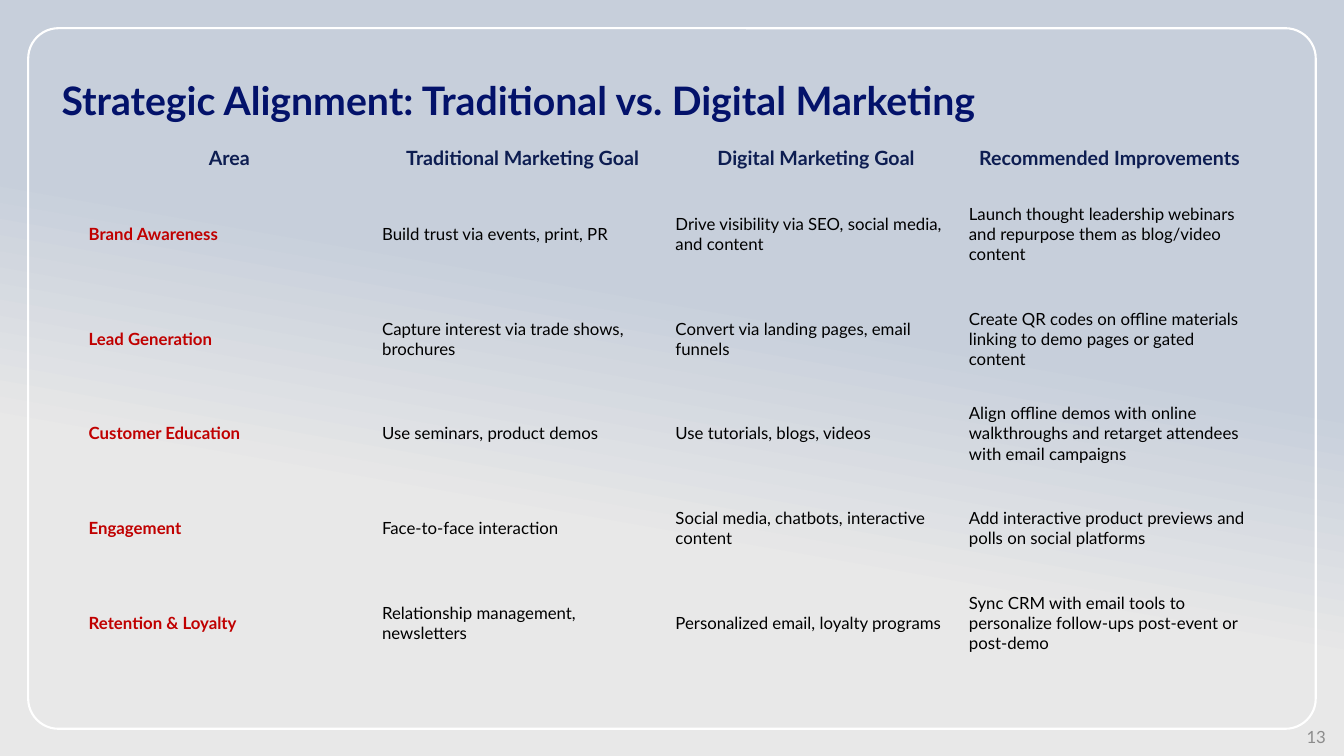
import pptx
import pptx.util
import pptx.dml.color
import pptx.enum.shapes
import pptx.enum.text

COLORS = {
    "mist": "E8E8E8", "steel": "C7CFDB", "frame": "FFFFFF", "title": "03126A",
    "header": "0D1D51", "area": "C00000", "body": "000000", "number": "8C8C8C",
}
FONT = "Lato"
PX = 9144  # EMU per px, 100 px to the inch
NO_GRID = "{2D5ABB26-0587-4C30-8999-92F81FD0307C}"

LEFT = pptx.enum.text.PP_ALIGN.LEFT
CENTER = pptx.enum.text.PP_ALIGN.CENTER
RIGHT = pptx.enum.text.PP_ALIGN.RIGHT
MIDDLE = pptx.enum.text.MSO_ANCHOR.MIDDLE
BOTTOM = pptx.enum.text.MSO_ANCHOR.BOTTOM

TITLE = "Strategic Alignment: Traditional vs. Digital Marketing"
ROW_HEIGHTS = [47, 104, 104, 84, 104, 84]
ROWS = [
    ["Area", "Traditional Marketing Goal", "Digital Marketing Goal",
     "Recommended Improvements"],
    ["Brand Awareness", "Build trust via events, print, PR",
     "Drive visibility via SEO, social media, and content",
     "Launch thought leadership webinars and repurpose them as blog/video content"],
    ["Lead Generation", "Capture interest via trade shows, brochures",
     "Convert via landing pages, email funnels",
     "Create QR codes on offline materials linking to demo pages or gated content"],
    ["Customer Education", "Use seminars, product demos",
     "Use tutorials, blogs, videos",
     "Align offline demos with online walkthroughs and retarget attendees "
     "with email campaigns"],
    ["Engagement", "Face-to-face interaction",
     "Social media, chatbots, interactive content",
     "Add interactive product previews and polls on social platforms"],
    ["Retention & Loyalty", "Relationship management, newsletters",
     "Personalized email, loyalty programs",
     "Sync CRM with email tools to personalize follow-ups post-event or post-demo"],
]


def rgb(name):
    return pptx.dml.color.RGBColor.from_string(COLORS[name])


def set_all(obj, values):
    for name, value in values.items():
        setattr(obj, name, value)


class Deck:
    def __init__(self, width, height):
        self.prs = pptx.Presentation()
        set_all(self.prs, {"slide_width": width * PX, "slide_height": height * PX})
        self.s = self.prs.slides.add_slide(self.prs.slide_layouts[5])

    def background(self, stops, angle):
        fill = self.s.background.fill
        fill.gradient()
        fill.gradient_angle = angle
        for stop, (position, color) in zip(fill.gradient_stops, stops):
            stop.position = position
            stop.color.rgb = rgb(color)

    def add_text(self, tf, text, size, color, bold=False, align=LEFT):
        p = tf.paragraphs[0]
        p.alignment = align
        r = p.add_run()
        r.text = text
        set_all(r.font, {"name": FONT, "size": pptx.util.Pt(size), "bold": bold})
        r.font.color.rgb = rgb(color)
        return p

    def frame(self, x, y, w, h, radius):
        sp = self.s.shapes.add_shape(
            pptx.enum.shapes.MSO_SHAPE.ROUNDED_RECTANGLE, x * PX, y * PX, w * PX, h * PX)
        sp.adjustments[0] = radius / min(w, h)
        sp.shadow.inherit = False
        sp.fill.background()
        sp.line.color.rgb = rgb("frame")
        sp.line.width = pptx.util.Pt(1.5)

    def title(self, text, x, y, w, h):
        sp = self.s.shapes.title
        set_all(sp, {"left": x * PX, "top": y * PX, "width": w * PX, "height": h * PX})
        set_all(sp.text_frame, {
            "word_wrap": True, "auto_size": pptx.enum.text.MSO_AUTO_SIZE.NONE,
            "vertical_anchor": BOTTOM, "margin_left": 22 * PX, "margin_bottom": 10 * PX})
        self.add_text(sp.text_frame, text, 28, "title", True).line_spacing = 0.9

    def label(self, text, x, y, w, h):
        tf = self.s.shapes.add_textbox(x * PX, y * PX, w * PX, h * PX).text_frame
        set_all(tf, {"word_wrap": True, "vertical_anchor": MIDDLE})
        self.add_text(tf, text, 12, "number", align=RIGHT)

    def table(self, rows, heights, x, y, w):
        shape = self.s.shapes.add_table(
            len(rows), len(rows[0]), x * PX, y * PX, w * PX, sum(heights) * PX)
        table = shape.table
        set_all(table, {"first_row": False, "horz_banding": False})
        table._tbl.tblPr[0].text = NO_GRID
        for i, (row, height) in enumerate(zip(rows, heights)):
            table.rows[i].height = height * PX
            for j, text in enumerate(row):
                cell = table.cell(i, j)
                cell.fill.background()
                set_all(cell, {
                    "vertical_anchor": MIDDLE, "margin_left": 6 * PX,
                    "margin_right": 6 * PX, "margin_top": 3 * PX, "margin_bottom": 3 * PX})
                if i == 0:
                    style = (14, "header", True, CENTER)
                elif j == 0:
                    style = (12, "area", True)
                else:
                    style = (12, "body")
                self.add_text(cell.text_frame, text, *style)


def main():
    deck = Deck(1333, 750)
    # Backdrop and frame
    deck.background([(0.33, "mist"), (0.59, "steel")], 80)
    deck.frame(28, 28, 1277, 695, 30)
    # Title and page number
    deck.title(TITLE, 39, 51, 1227, 82)
    deck.label("13", 1025, 718, 300, 25)
    # Comparison table
    deck.table(ROWS, ROW_HEIGHTS, 82, 133, 1164)
    deck.prs.save("out.pptx")


if __name__ == "__main__":
    main()
